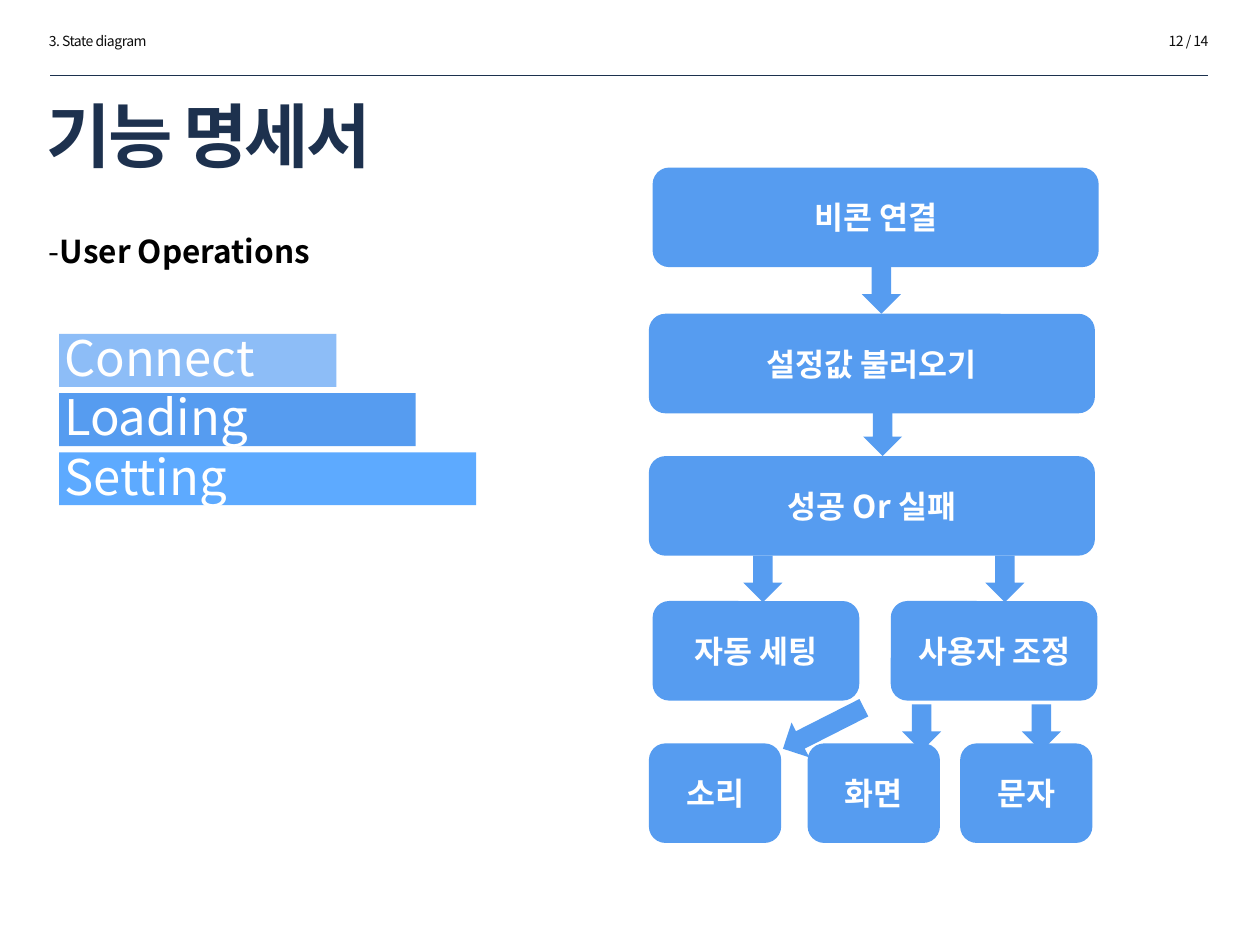
from dataclasses import dataclass

from lxml.etree import SubElement
from pptx import Presentation
from pptx.dml.color import RGBColor
from pptx.enum.shapes import MSO_CONNECTOR, MSO_SHAPE as Shape
from pptx.enum.text import MSO_ANCHOR as Anchor, PP_ALIGN as Align
from pptx.oxml.ns import qn
from pptx.util import Inches, Pt

FONT = "Noto Sans CJK KR"
COLORS = {
    "header": "0D0D0D", "rule": "1C314E", "title": "1D314E", "black": "000000",
    "white": "FFFFFF", "node": "569CF0", "light": "8DBDF7", "bright": "5DAAFF",
}
NODE_H = 0.79
ARROW_W, ARROW_H = 0.31, 0.37


@dataclass
class Node:
    text: str
    left: float
    top: float
    width: float


@dataclass
class Arrow:
    left: float
    top: float
    height: float = ARROW_H
    rotation: float = 0


@dataclass
class Bar:
    text: str
    width: float
    color: str


NODES = [
    Node("비콘 연결", 5.18, 1.33, 3.54),
    Node("설정값 불러오기", 5.15, 2.49, 3.54),
    Node("성공 Or 실패", 5.15, 3.62, 3.54),
    Node("사용자 조정", 7.07, 4.77, 1.64),
    Node("자동 세팅", 5.18, 4.77, 1.64),
    Node("소리", 5.15, 5.9, 1.05),
    Node("화면", 6.41, 5.9, 1.05),
    Node("문자", 7.62, 5.9, 1.05),
]
ARROWS = [
    Arrow(6.84, 2.12), Arrow(6.85, 3.25),
    Arrow(5.9, 4.41), Arrow(7.82, 4.41),
    Arrow(8.11, 5.59), Arrow(7.16, 5.59),
    Arrow(6.38, 5.42, 0.72, 63.1),
]
BARS = [
    Bar("Connect", 2.2, "light"),
    Bar("Loading", 2.83, "node"),
    Bar("Setting", 3.31, "bright"),
]


def rgb(name: str) -> RGBColor:
    return RGBColor.from_string(COLORS[name])


def format_run(r, size: float, color: str, bold: bool = False, spacing: float = 0) -> None:
    """Style a run, with the font also set for Korean and spacing in points."""
    r.font.size, r.font.bold, r.font.name = Pt(size), bold, FONT
    r.font.color.rgb = rgb(color)
    rPr = r._r.get_or_add_rPr()
    SubElement(rPr, qn("a:ea")).set("typeface", FONT)
    if spacing:
        rPr.set("spc", str(round(spacing * 100)))


def add_text(slide, text: str, left: float, top: float, width: float, height: float,
             size: float, color: str, bold: bool = False, spacing: float = 0,
             align: Align = Align.LEFT, anchor: Anchor = Anchor.TOP):
    tf = slide.shapes.add_textbox(Inches(left), Inches(top), Inches(width), Inches(height)).text_frame
    tf.word_wrap, tf.vertical_anchor = True, anchor
    p = tf.paragraphs[0]
    p.text, p.alignment = text, align
    format_run(p.runs[0], size, color, bold, spacing)
    return p


def add_filled(slide, kind: Shape, left: float, top: float, width: float, height: float, color: str):
    sp = slide.shapes.add_shape(kind, Inches(left), Inches(top), Inches(width), Inches(height))
    sp.shadow.inherit = False
    sp.fill.solid()
    sp.fill.fore_color.rgb = rgb(color)
    sp.line.fill.background()
    return sp


def add_node(slide, node: Node) -> None:
    sp = add_filled(slide, Shape.ROUNDED_RECTANGLE, node.left, node.top, node.width, NODE_H, "node")
    tf = sp.text_frame
    tf.text, tf.vertical_anchor = node.text, Anchor.MIDDLE
    p = tf.paragraphs[0]
    p.alignment = Align.CENTER
    format_run(p.runs[0], 18, "white", bold=True)


def add_arrow(slide, arrow: Arrow) -> None:
    sp = add_filled(slide, Shape.DOWN_ARROW, arrow.left, arrow.top, ARROW_W, arrow.height, "node")
    sp.rotation = arrow.rotation


def add_bar(slide, bar: Bar, top: float) -> None:
    tf = add_filled(slide, Shape.RECTANGLE, 0.47, top, bar.width, 0.42, bar.color).text_frame
    tf.text, tf.vertical_anchor = bar.text, Anchor.TOP
    tf.margin_left = tf.margin_right = Inches(0.04)
    tf.margin_top = tf.margin_bottom = 0
    p = tf.paragraphs[0]
    p.alignment, p.line_spacing = Align.LEFT, Pt(30)
    format_run(p.runs[0], 28, "white")


def add_rule(slide) -> None:
    line = slide.shapes.add_connector(
        MSO_CONNECTOR.STRAIGHT, Inches(0.4), Inches(0.6), Inches(9.59), Inches(0.6))
    line.line.color.rgb = rgb("rule")
    line.line.width = Pt(0.25)
    SubElement(line._element.spPr, qn("a:effectLst"))


def main() -> None:
    prs = Presentation()
    prs.slide_width, prs.slide_height = Inches(10), Inches(7.5)
    s = prs.slides.add_slide(prs.slide_layouts[6])

    add_text(s, "3. State diagram", 0.29, 0.21, 1.73, 0.24, 8, "header", spacing=-0.3)
    add_rule(s)
    add_text(s, "12 / 14", 7.96, 0.21, 1.73, 0.24, 8, "header", spacing=-0.3, align=Align.RIGHT)
    add_text(s, "기능 명세서", 0.27, 0.6, 9.28, 0.94, 40, "title", bold=True, spacing=-1.5,
             anchor=Anchor.MIDDLE)
    p = add_text(s, "-", 0.29, 1.79, 2.89, 0.4, 18, "black")
    r = p.add_run()
    r.text = "User Operations"
    format_run(r, 18, "black", bold=True)

    for node in NODES:
        add_node(s, node)
    for arrow in ARROWS:
        add_arrow(s, arrow)
    for i, bar in enumerate(BARS):
        add_bar(s, bar, 2.65 + 0.47 * i)
    prs.save("out.pptx")


if __name__ == "__main__":
    main()
